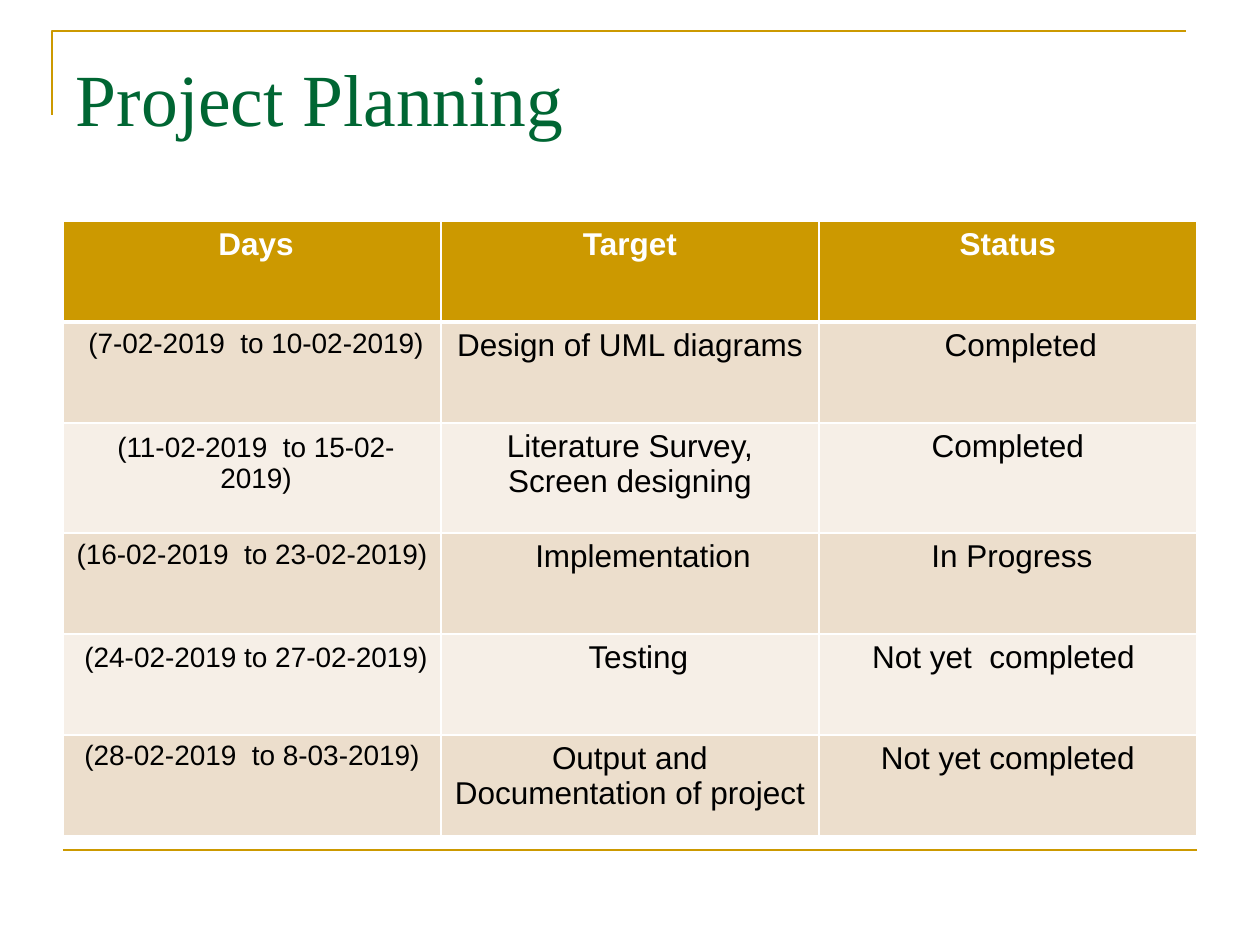
from dataclasses import dataclass

from lxml import etree
from pptx import Presentation
from pptx import util as u
from pptx.dml.color import RGBColor
from pptx.enum import shapes, text
from pptx.oxml.ns import qn


@dataclass(frozen=True)
class Theme:
    gold: str = "CC9900"
    green: str = "006633"
    white: str = "FFFFFF"
    black: str = "000000"
    bands: tuple = ("ECDECC", "F6EFE7")
    title_font: str = "Times New Roman"
    body_font: str = "Arial"
    title_size: int = 42
    body_size: int = 18
    date_size: int = 16
    rule_width: float = 1.5


T = Theme()
SCALE = 914400 // 126
PAD_X, PAD_Y = 13, 6

HEADER = ["Days", "Target", "Status"]
PLAN = [
    ["(7-02-2019  to 10-02-2019)", "Design of UML diagrams", "Completed"],
    ["(11-02-2019  to 15-02-2019)", "Literature Survey, Screen designing", "Completed"],
    ["(16-02-2019  to 23-02-2019)", "Implementation", "In Progress"],
    ["(24-02-2019 to 27-02-2019)", "Testing", "Not yet  completed"],
    ["(28-02-2019  to 8-03-2019)", "Output and Documentation of project", "Not yet completed"],
]
ROW_HEIGHTS = [101, 101, 110, 101, 101, 101]
NUDGES = {
    (0, 0): (8, 0), (1, 0): (8, 0), (2, 0): (8, 3), (4, 0): (8, 3),
    (1, 2): (26, 0), (3, 1): (26, 0), (4, 1): (17, 0),
    (3, 2): (8, 0), (4, 2): (-9, 0),
}


def px(n):
    return u.Emu(n * SCALE)


def rgb(value):
    return RGBColor.from_string(value)


def set_font(p, name, size, color, bold=False):
    f = p.font
    f.name, f.size, f.bold = name, u.Pt(size), bold
    f.color.rgb = rgb(color)


def set_rule(sp):
    sp.line.color.rgb = rgb(T.gold)
    sp.line.width = u.Pt(T.rule_width)


def add_corner(s, x, y, w, h):
    fb = s.shapes.build_freeform(px(x), px(y + h))
    fb.add_line_segments([(px(x), px(y)), (px(x + w), px(y))], close=False)
    sp = fb.convert_to_shape()
    sp.shadow.inherit = False
    sp.fill.background()
    set_rule(sp)


def add_footer_rule(s, x, y, w):
    sp = s.shapes.add_connector(
        shapes.MSO_CONNECTOR.STRAIGHT, px(x), px(y), px(x + w), px(y))
    set_rule(sp)
    etree.SubElement(sp._element.spPr, qn("a:effectLst"))


def add_title(s, x, y, w, h):
    tf = s.shapes.add_textbox(px(x), px(y), px(w), px(h)).text_frame
    tf.word_wrap = True
    tf.margin_left = tf.margin_right = px(PAD_X)
    tf.margin_top = tf.margin_bottom = px(PAD_Y)
    p = tf.paragraphs[0]
    p.text = "Project Planning"
    set_font(p, T.title_font, T.title_size, T.green)


def set_borders(cell, widths):
    tc_pr = cell._tc.get_or_add_tcPr()
    for i, (side, width) in enumerate(widths.items()):
        ln = etree.Element(qn(f"a:ln{side}"), w=str(u.Pt(width)))
        fill = etree.SubElement(ln, qn("a:solidFill"))
        etree.SubElement(fill, qn("a:srgbClr"), val=T.white)
        tc_pr.insert(i, ln)


def fill_cell(cell, row, col, words):
    head = row == 0
    dx, dy = NUDGES.get((row, col), (0, 0))
    cell.margin_left, cell.margin_right = px(PAD_X + dx), px(PAD_X)
    cell.margin_top, cell.margin_bottom = px(PAD_Y + dy), px(PAD_Y)
    cell.fill.solid()
    cell.fill.fore_color.rgb = rgb(T.gold if head else T.bands[(row - 1) % 2])
    p = cell.text_frame.paragraphs[0]
    p.text = words
    p.alignment = text.PP_ALIGN.CENTER
    size = T.date_size if col == 0 and not head else T.body_size
    set_font(p, T.body_font, size, T.white if head else T.black, head)
    set_borders(cell, {"L": 1, "R": 1, "T": 3 if row == 1 else 1, "B": 3 if head else 1})


def add_plan_table(s, x, y, w):
    rows = [HEADER, *PLAN]
    tbl = s.shapes.add_table(
        len(rows), len(HEADER), px(x), px(y), px(w), px(sum(ROW_HEIGHTS))).table
    for column in tbl.columns:
        column.width = px(w // len(HEADER))
    for i, (words, height) in enumerate(zip(rows, ROW_HEIGHTS)):
        tbl.rows[i].height = px(height)
        for j, word in enumerate(words):
            fill_cell(tbl.cell(i, j), i, j, word)


def main():
    prs = Presentation()
    prs.slide_width, prs.slide_height = u.Inches(10), u.Inches(7.5)
    s = prs.slides.add_slide(prs.slide_layouts[6])
    add_corner(s, 52, 31, 1134, 84)
    add_footer_rule(s, 63, 850, 1134)
    add_title(s, 63, 47, 1134, 148)
    add_plan_table(s, 63, 221, 1134)
    prs.save("out.pptx")


if __name__ == "__main__":
    main()
